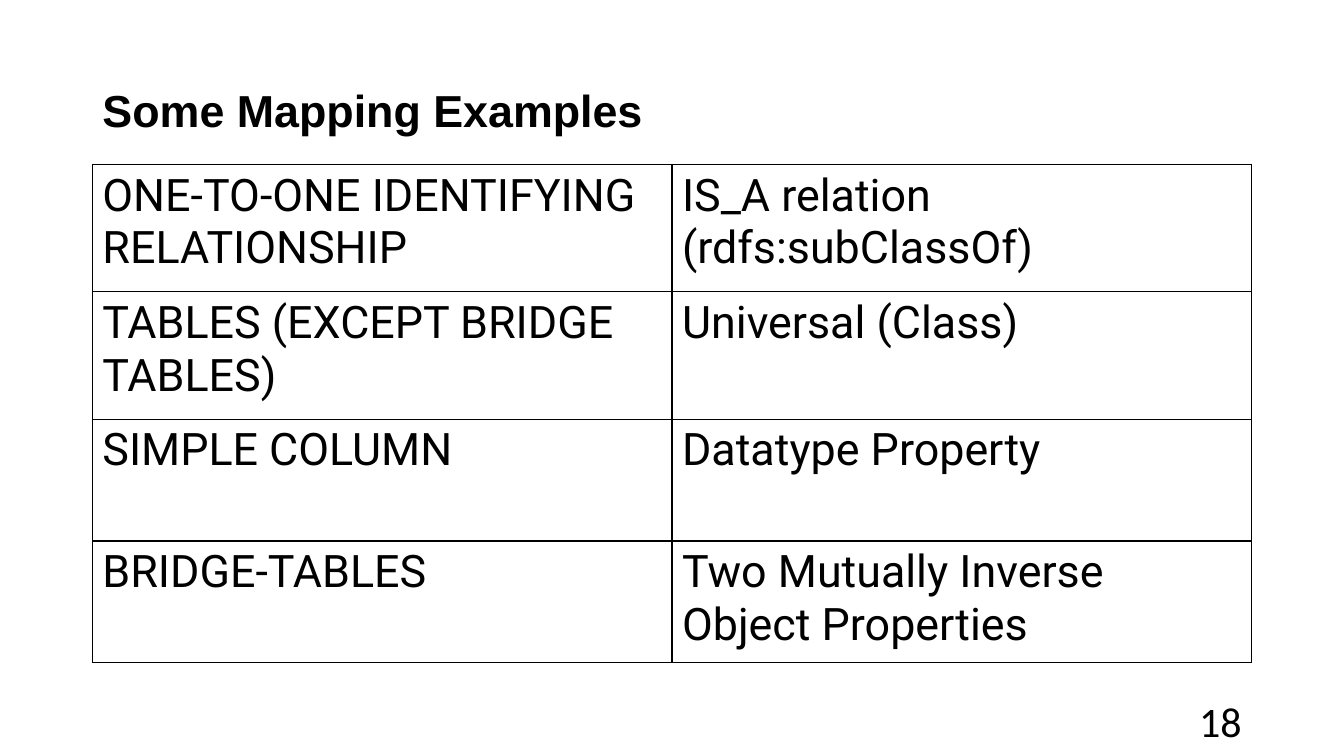
from dataclasses import dataclass

import pptx
import pptx.dml.color
import pptx.enum.text
import pptx.oxml
import pptx.oxml.ns
import pptx.util
from pptx.util import Pt

COLOURS = {"text": "000000", "border": "000000", "background": "FFFFFF"}
LEFT, CONTENT_WIDTH = 66, 828
ROW_HEIGHTS = (91, 91, 87, 87)


@dataclass(frozen=True)
class Mapping:
    source: str
    target: str


MAPPINGS = (
    Mapping("ONE-TO-ONE IDENTIFYING RELATIONSHIP", "IS_A relation (rdfs:subClassOf)"),
    Mapping("TABLES (EXCEPT BRIDGE TABLES)", "Universal (Class)"),
    Mapping("SIMPLE COLUMN", "Datatype Property"),
    Mapping("BRIDGE-TABLES", "Two Mutually Inverse Object Properties"),
)


def colour(name: str) -> pptx.dml.color.RGBColor:
    return pptx.dml.color.RGBColor.from_string(COLOURS[name])


def write_text(text_frame, text: str, font_name: str, size: float, bold: bool = False,
               alignment=pptx.enum.text.PP_ALIGN.LEFT) -> None:
    text_frame.text = text
    text_frame.word_wrap = True
    paragraph = text_frame.paragraphs[0]
    paragraph.alignment = alignment
    font = paragraph.runs[0].font
    font.name, font.size, font.bold = font_name, Pt(size), bold
    font.color.rgb = colour("text")


def add_cell_borders(cell) -> None:
    properties = cell._tc.get_or_add_tcPr()
    for side in ("lnL", "lnR", "lnT", "lnB"):
        properties.append(pptx.oxml.parse_xml(
            f'<a:{side} {pptx.oxml.ns.nsdecls("a")} w="{Pt(1)}"><a:solidFill>'
            f'<a:srgbClr val="{COLOURS["border"]}"/></a:solidFill></a:{side}>'))


def add_title(slide) -> None:
    title = slide.shapes.title
    title.left, title.top, title.width, title.height = Pt(LEFT), Pt(29), Pt(CONTENT_WIDTH), Pt(104)
    write_text(title.text_frame, "Some Mapping Examples", "Arial", 32, bold=True)
    title.text_frame.auto_size = pptx.enum.text.MSO_AUTO_SIZE.NONE
    title.text_frame.vertical_anchor = pptx.enum.text.MSO_ANCHOR.MIDDLE
    title.text_frame.paragraphs[0].line_spacing = 0.9


def add_mapping_table(slide) -> None:
    table = slide.shapes.add_table(len(MAPPINGS), 2, Pt(LEFT), Pt(117.5),
                                   Pt(CONTENT_WIDTH), Pt(sum(ROW_HEIGHTS))).table
    table.first_row = table.horz_banding = False
    for row, height, mapping in zip(table.rows, ROW_HEIGHTS, MAPPINGS):
        row.height = Pt(height)
        for cell, text in zip(row.cells, (mapping.source, mapping.target)):
            write_text(cell.text_frame, text, "Roboto", 32)
            add_cell_borders(cell)
            cell.fill.solid()
            cell.fill.fore_color.rgb = colour("background")


def add_page_number(slide) -> None:
    width = 216
    box = slide.shapes.add_textbox(Pt(LEFT + CONTENT_WIDTH - width), Pt(500.5), Pt(width), Pt(28.75))
    write_text(box.text_frame, "18", "Calibri", 30, alignment=pptx.enum.text.PP_ALIGN.RIGHT)
    box.text_frame.vertical_anchor = pptx.enum.text.MSO_ANCHOR.MIDDLE


def main() -> None:
    presentation = pptx.Presentation()
    presentation.slide_width, presentation.slide_height = Pt(960), Pt(540)
    title_only_layout = presentation.slide_layouts.get_by_name("Title Only")
    slide = presentation.slides.add_slide(title_only_layout)
    add_title(slide)
    add_mapping_table(slide)
    add_page_number(slide)
    presentation.save("out.pptx")


if __name__ == "__main__":
    main()
